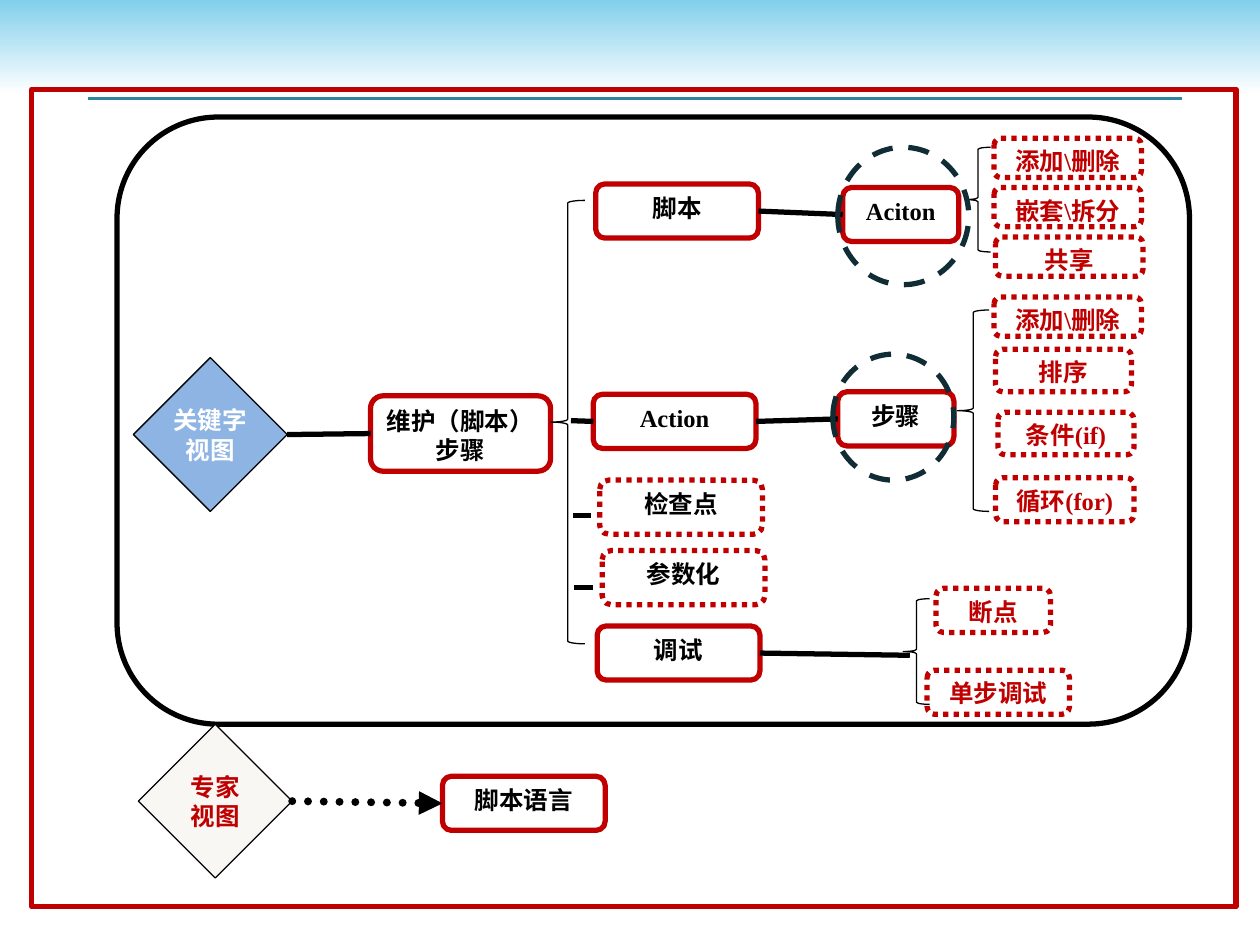
from dataclasses import dataclass

from lxml import etree
from pptx import Presentation
from pptx.dml.color import RGBColor
from pptx.enum.dml import MSO_LINE
from pptx.enum.shapes import MSO_CONNECTOR, MSO_SHAPE
from pptx.enum.text import MSO_ANCHOR, PP_ALIGN
from pptx.oxml.ns import qn
from pptx.util import Cm, Pt

RECTANGLE = MSO_SHAPE.RECTANGLE
ROUNDED = MSO_SHAPE.ROUNDED_RECTANGLE
DIAMOND = MSO_SHAPE.DIAMOND
BRACE = MSO_SHAPE.LEFT_BRACE
OVAL = MSO_SHAPE.OVAL
STRAIGHT = MSO_CONNECTOR.STRAIGHT
DOTTED = MSO_LINE.ROUND_DOT
DASHED = MSO_LINE.DASH
MIDDLE = MSO_ANCHOR.MIDDLE
TOP = MSO_ANCHOR.TOP
CENTER = PP_ALIGN.CENTER
LEFT_SIDE, RIGHT_SIDE = 1, 3


@dataclass(frozen=True)
class Theme:
    black: str = "000000"
    white: str = "FFFFFF"
    red: str = "C00000"
    sky: str = "81CFEB"
    teal: str = "31859C"
    navy: str = "102C34"
    blue: str = "8EB4E3"
    cream: str = "F8F7F3"
    font: str = "Times New Roman"
    size: int = 14
    thin: float = 0.75
    rule: float = 1.5
    thick: float = 3
    arrow: float = 4.5


theme = Theme()
presentation = Presentation()
presentation.slide_width = Cm(25.4)
presentation.slide_height = Cm(19.05)
slide = presentation.slides.add_slide(presentation.slide_layouts[6])


def draw_shape(kind, bounds, line_color, line_width, dash=None, fill=None, text="", text_color=theme.black):
    shape = slide.shapes.add_shape(kind, *map(Cm, bounds))
    shape.shadow.inherit = False
    if fill:
        shape.fill.solid()
        shape.fill.fore_color.rgb = RGBColor.from_string(fill)
    else:
        shape.fill.background()
    shape.line.color.rgb = RGBColor.from_string(line_color)
    shape.line.width = Pt(line_width)
    if dash:
        shape.line.dash_style = dash
    if text:
        frame = shape.text_frame
        frame.text = text
        frame.word_wrap = kind != DIAMOND
        frame.vertical_anchor = MIDDLE if kind == DIAMOND else TOP
        for paragraph in frame.paragraphs:
            paragraph.alignment = CENTER
            font = paragraph.runs[0].font
            font.name = theme.font
            font.size = Pt(theme.size)
            font.bold = True
            font.color.rgb = RGBColor.from_string(text_color)
    return shape


def draw_line(start, end, color=theme.black, width=theme.thick):
    points = []
    for place, side in ((start, RIGHT_SIDE), (end, LEFT_SIDE)):
        points += [0, 0] if isinstance(place, str) else map(Cm, place)
    connector = slide.shapes.add_connector(STRAIGHT, *points)
    if isinstance(start, str):
        connector.begin_connect(nodes[start], RIGHT_SIDE)
    if isinstance(end, str):
        connector.end_connect(nodes[end], LEFT_SIDE)
    connector.line.color.rgb = RGBColor.from_string(color)
    connector.line.width = Pt(width)
    etree.SubElement(connector._element.spPr, qn("a:effectLst"))
    return connector


header = slide.shapes.add_shape(RECTANGLE, 0, 0, Cm(25.4), Cm(1.9))
header.shadow.inherit = False
header.line.fill.background()
header.fill.gradient()
header.fill.gradient_angle = 270
for stop, position, color in zip(header.fill.gradient_stops, (0, 1), (theme.sky, theme.white)):
    stop.position = position
    stop.color.rgb = RGBColor.from_string(color)

draw_line((1.78, 1.98), (23.83, 1.98), theme.teal, theme.rule)
draw_shape(RECTANGLE, (0.64, 1.8, 24.28, 16.48), theme.red, theme.thick)
draw_shape(ROUNDED, (2.36, 2.36, 21.62, 12.24), theme.black, theme.thick)

nodes = {}
for name, left, top, fill, color in (
    ("关键字", 2.69, 7.21, theme.blue, theme.white),
    ("专家", 2.79, 14.6, theme.cream, theme.red),
):
    nodes[name] = draw_shape(DIAMOND, (left, top, 3.1, 3.1), theme.black, theme.thin,
                             fill=fill, text=f"{name}\n视图", text_color=color)

for text, left, top, width, height, dash in (
    ("维护（脚本）步骤", 7.47, 7.98, 3.63, 1.52, None),
    ("脚本", 12.01, 3.71, 3.28, 1.09, None),
    ("Aciton", 16.99, 3.78, 2.34, 1.09, None),
    ("Action", 11.96, 7.95, 3.28, 1.09, None),
    ("步骤", 16.89, 7.9, 2.34, 1.09, None),
    ("检查点", 12.09, 9.68, 3.28, 1.09, DOTTED),
    ("参数化", 12.14, 11.1, 3.28, 1.09, DOTTED),
    ("调试", 12.04, 12.62, 3.28, 1.09, None),
    ("脚本语言", 8.92, 15.65, 3.28, 1.09, None),
):
    nodes[text] = draw_shape(ROUNDED, (left, top, width, height), theme.red, theme.thick,
                             dash, text=text)

for text, left, top, width, height in (
    ("添加\\删除", 20.04, 2.79, 2.97, 0.79),
    ("嵌套\\拆分", 20.04, 3.78, 2.97, 0.79),
    ("共享", 20.07, 4.78, 2.97, 0.79),
    ("添加\\删除", 20.04, 5.99, 2.97, 0.79),
    ("排序", 20.07, 7.04, 2.74, 0.86),
    ("条件(if)", 20.12, 8.31, 2.74, 0.86),
    ("循环(for)", 20.07, 9.63, 2.79, 0.89),
    ("断点", 18.87, 11.86, 2.31, 0.89),
    ("单步调试", 18.69, 13.51, 2.87, 0.89),
):
    draw_shape(ROUNDED, (left, top, width, height), theme.red, theme.thick, DOTTED,
               text=text, text_color=theme.red)

for bounds in (
    (11.1, 4.04, 0.69, 8.94),
    (19.46, 2.97, 0.51, 2.11),
    (19.3, 6.25, 0.64, 4.06),
    (18.21, 12.07, 0.53, 2.13),
):
    draw_shape(BRACE, bounds, theme.black, theme.thin)

for start, end in (
    ("关键字", "维护（脚本）步骤"),
    ("脚本", "Aciton"),
    ((11.51, 8.48), "Action"),
    ("Action", "步骤"),
    ((11.56, 10.39), (11.91, 10.39)),
    ((11.58, 11.84), (11.96, 11.84)),
    ("调试", (18.34, 13.21)),
):
    draw_line(start, end)

expert_arrow = draw_line("专家", "脚本语言", width=theme.arrow)
expert_arrow.line.dash_style = DOTTED
arrow_line = expert_arrow.line._get_or_add_ln()
arrow_line.set("cap", "rnd")
etree.SubElement(arrow_line, qn("a:tailEnd"), type="triangle")

for bounds in ((16.79, 7.14, 2.44, 2.54), (16.89, 2.97, 2.64, 2.77)):
    draw_shape(OVAL, bounds, theme.navy, theme.thick, DASHED)

presentation.save("out.pptx")
